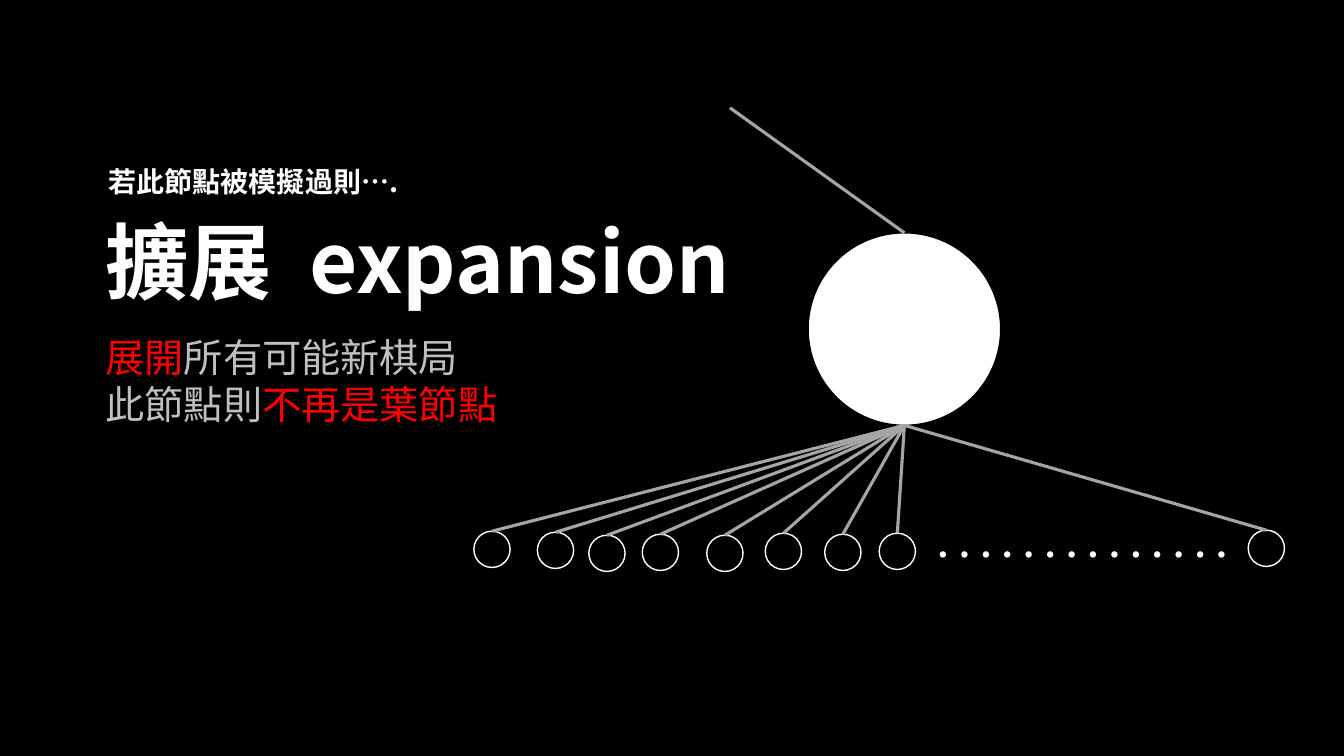
from lxml.etree import SubElement
from pptx import Presentation
from pptx.dml.color import RGBColor
from pptx.enum.shapes import MSO_CONNECTOR, MSO_SHAPE
from pptx.enum.text import MSO_ANCHOR, MSO_AUTO_SIZE as AutoSize, PP_ALIGN
from pptx.oxml.ns import qn
from pptx.util import Inches, Pt

BLACK = RGBColor(0x00, 0x00, 0x00)
WHITE = RGBColor(0xFF, 0xFF, 0xFF)
RED = RGBColor(0xFF, 0x00, 0x00)
LIGHT_GRAY = RGBColor(0xBF, 0xBF, 0xBF)
EDGE_GRAY = RGBColor(0xA5, 0xA5, 0xA5)

ROOT_X, ROOT_TOP, ROOT_SIZE = 8.97, 2.31, 1.91
ROOT_BOTTOM = ROOT_TOP + ROOT_SIZE
CHILD_SIZE = 0.36
CHILDREN = [(4.88, 5.27), (5.51, 5.28), (6.02, 5.31), (6.55, 5.3), (7.19, 5.31),
            (7.77, 5.29), (8.36, 5.3), (8.9, 5.29), (12.56, 5.26)]


class TreeSlide:
    def __init__(self, slide, font="Noto Sans CJK SC"):
        self.slide = slide
        self.font = font
        slide.background.fill.solid()
        slide.background.fill.fore_color.rgb = BLACK

    def node(self, center_x, top, size, fill, outline):
        shape = self.slide.shapes.add_shape(
            MSO_SHAPE.OVAL, Inches(center_x - size / 2), Inches(top), Inches(size), Inches(size))
        shape.shadow.inherit = False
        shape.fill.solid()
        shape.fill.fore_color.rgb = fill
        shape.line.color.rgb = outline
        shape.line.width = Pt(1)
        return shape

    def edge(self, start, end, start_node=None, end_node=None):
        connector = self.slide.shapes.add_connector(
            MSO_CONNECTOR.STRAIGHT, *(Inches(value) for value in (*start, *end)))
        if start_node is not None:
            connector.begin_connect(start_node, 0)
        if end_node is not None:
            connector.end_connect(end_node, 0)
        connector.line.color.rgb = EDGE_GRAY
        connector.line.width = Pt(2.25)
        SubElement(connector._element.spPr, qn("a:effectLst"))

    def text(self, box, lines, size, bold=False, font=None, align=PP_ALIGN.LEFT, wrap=False):
        shape = self.slide.shapes.add_textbox(*(Inches(value) for value in box))
        frame = shape.text_frame
        frame.word_wrap = wrap
        frame.auto_size = AutoSize.NONE if wrap else AutoSize.SHAPE_TO_FIT_TEXT
        for index, line in enumerate(lines):
            paragraph = frame.paragraphs[0] if index == 0 else frame.add_paragraph()
            paragraph.alignment = align
            for words, color in line:
                run = paragraph.add_run()
                run.text = words
                run.font.size = Pt(size)
                run.font.bold = bold
                run.font.color.rgb = color
                run.font.name = font or self.font
                east_asian = SubElement(run.font._element, qn("a:ea"))
                east_asian.set("typeface", font or self.font)
        return frame

    def title(self, box, words, size, gap):
        line = [(part, WHITE) for part in words]
        frame = self.text(box, [line], size, bold=True, wrap=True)
        frame.vertical_anchor = MSO_ANCHOR.MIDDLE
        paragraph = frame.paragraphs[0]
        paragraph.line_spacing = 0.9
        paragraph.runs[1].font._element.set("spc", str(gap * 100))


def main():
    presentation = Presentation()
    presentation.slide_width = Inches(13.33)
    presentation.slide_height = Inches(7.5)
    tree = TreeSlide(presentation.slides.add_slide(presentation.slide_layouts[6]))

    tree.title((0.95, 2.07, 6.61, 1.14), ["擴展", " ", "expansion"], 59.4, gap=13)
    tree.text((0.95, 3.26, 4.13, 1.04),
              [[("展開", RED), ("所有可能新棋局", LIGHT_GRAY)],
               [("此節點則", LIGHT_GRAY), ("不再是葉節點", RED)]], 28)
    tree.text((0.95, 1.58, 3.04, 0.44), [[("若此節點被模擬過則….", WHITE)]], 20,
              bold=True, align=PP_ALIGN.CENTER)

    root = tree.node(ROOT_X, ROOT_TOP, ROOT_SIZE, WHITE, BLACK)
    tree.edge((7.24, 1.07), (ROOT_X, ROOT_TOP), end_node=root)
    for child_x, child_top in CHILDREN:
        child = tree.node(child_x, child_top, CHILD_SIZE, BLACK, WHITE)
        tree.edge((child_x, child_top), (ROOT_X, ROOT_BOTTOM), start_node=child)
    tree.text((9.2, 5.14, 3.33, 0.64), [[(" ".join("·" * 14), WHITE)]], 32, font="Calibri")

    presentation.save("out.pptx")


if __name__ == "__main__":
    main()
